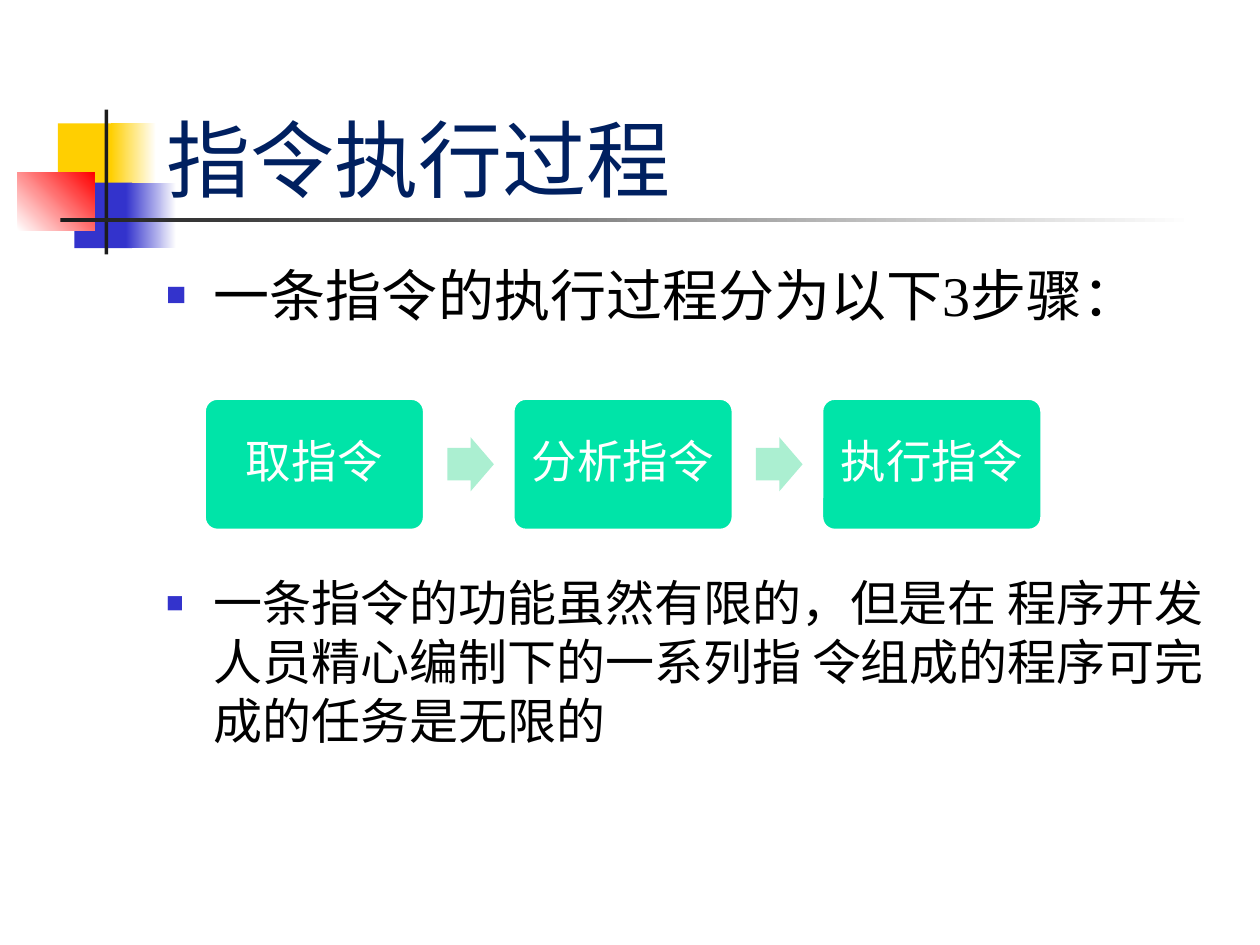
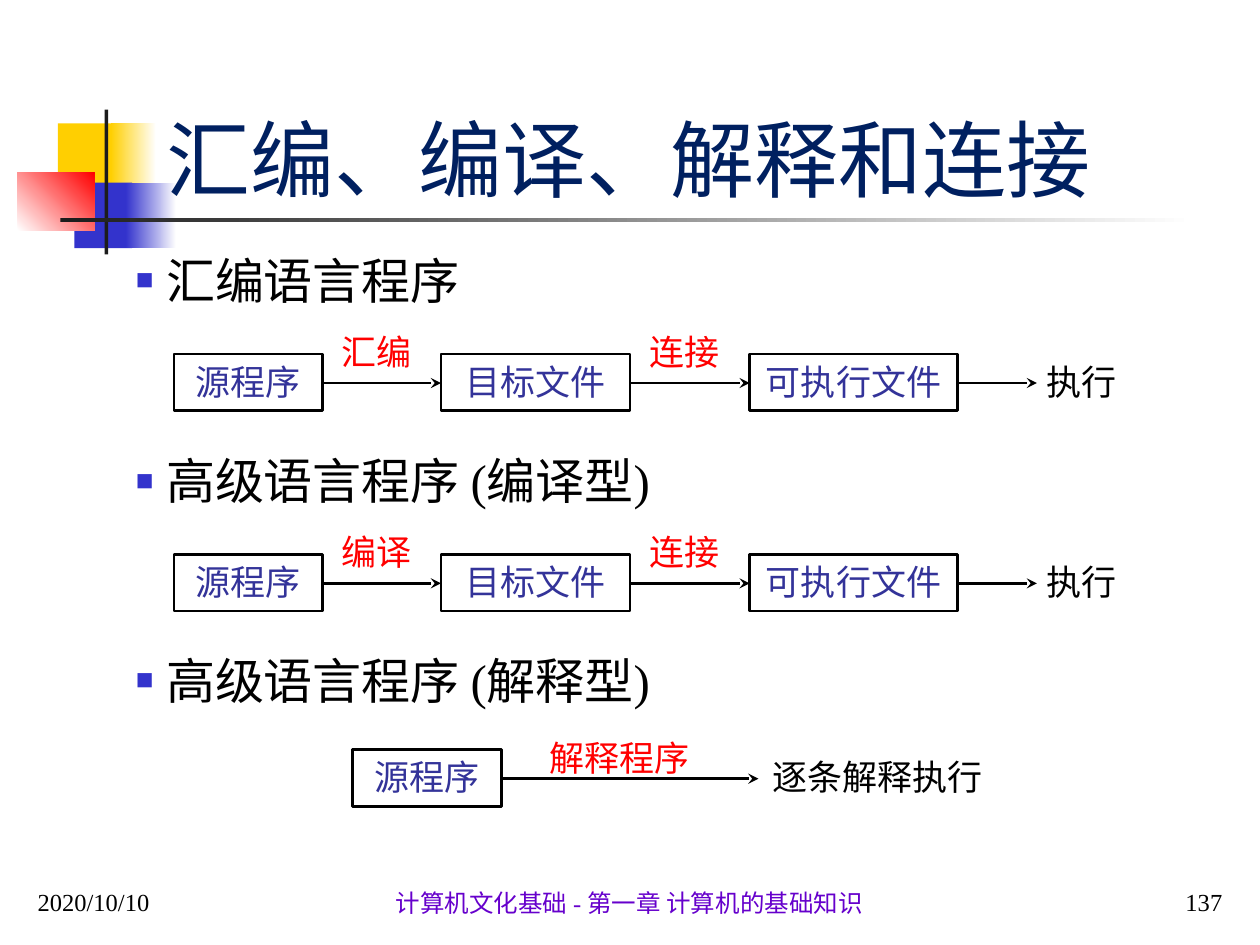
from dataclasses import dataclass

from lxml import etree
from pptx import Presentation
from pptx.dml.color import RGBColor
from pptx.enum.shapes import MSO_CONNECTOR, MSO_SHAPE
from pptx.enum.text import MSO_ANCHOR as Anchor, MSO_AUTO_SIZE, PP_ALIGN as Align
from pptx.oxml.ns import qn
from pptx.shapes.autoshape import Shape
from pptx.slide import Slide
from pptx.text.text import _Paragraph as Paragraph
from pptx.util import Inches, Pt

COLORS = {
    "white": "FFFFFF", "black": "000000", "ink": "1C1C1C",
    "yellow": "FFCF01", "blue": "3333CC", "red": "FF0000",
    "title": "002060", "node": "333399", "footer": "6600CC",
    "step": "00E4A8", "step_arrow": "ABEFD1",
}
TITLE_FONT = "Noto Sans CJK JP"
BODY_FONT = "Times New Roman"
DIAGRAM_FONT = "Cabin"


@dataclass(frozen=True)
class Box:
    left: float
    top: float
    width: float
    height: float

    def lengths(self) -> tuple:
        return tuple(Inches(v) for v in (self.left, self.top, self.width, self.height))


@dataclass(frozen=True)
class Style:
    size: float
    color: str = "black"
    font: str = BODY_FONT
    align: Align = Align.LEFT


@dataclass(frozen=True)
class Ornament:
    box: Box
    start: str
    end: str = ""
    angle: float = 0


@dataclass(frozen=True)
class FooterPart:
    text: str
    box: Box
    style: Style


@dataclass(frozen=True)
class Span:
    text: str
    left: float
    width: float


@dataclass(frozen=True)
class Flow:
    heading: str
    kind: str
    heading_box: Box
    top: float
    label_top: float
    nodes: tuple[Span, ...]
    labels: tuple[Span, ...]
    result: Span
    arrow_end: float


ORNAMENTS = (
    Ornament(Box(0.46, 0.98, 0.48, 0.52), "yellow"),
    Ornament(Box(0.88, 0.98, 0.36, 0.52), "yellow", "white"),
    Ornament(Box(0.59, 1.45, 0.46, 0.52), "blue"),
    Ornament(Box(1, 1.45, 0.4, 0.52), "blue", "white"),
    Ornament(Box(0.14, 1.37, 0.61, 0.46), "white", "red", 45),
    Ornament(Box(0.83, 0.87, 0.03, 1.15), "ink"),
    Ornament(Box(0.48, 1.73, 9, 0.03), "ink", "white"),
)
TITLE_BOX = Box(1.22, 0.68, 8.56, 1.02)
TITLE_STYLE = Style(48, "title", TITLE_FONT)

FOOTER = (
    FooterPart("2020/10/10", Box(0.2, 6.82, 1.26, 0.5), Style(14)),
    FooterPart("计算机文化基础 - 第一章 计算机的基础知识", Box(1.61, 6.83, 6.77, 0.5),
               Style(14, "footer", align=Align.CENTER)),
    FooterPart("137", Box(8.54, 6.82, 1.26, 0.5), Style(14, align=Align.RIGHT)),
)

STEPS = ("取指令", "分析指令", "执行指令")
STEP_BOX = Box(1.62, 3.16, 1.75, 1.05)
STEP_PITCH = 2.45
STEP_STYLE = Style(26, "white", align=Align.CENTER)

NODE_STYLE = Style(20, "node", DIAGRAM_FONT, Align.CENTER)
LABEL_STYLE = Style(20, "red", DIAGRAM_FONT, Align.CENTER)
RESULT_STYLE = Style(20, "black", DIAGRAM_FONT, Align.CENTER)
HEADING_STYLE = Style(28, "black", DIAGRAM_FONT)
NODE_HEIGHT, LABEL_HEIGHT, HEADING_HEIGHT = 0.45, 0.43, 0.57
BUILD_NODES = (Span("源程序", 1.38, 1.18), Span("目标文件", 3.5, 1.5),
               Span("可执行文件", 5.95, 1.65))


def build_flow(heading: str, kind: str, heading_width: float, top: float,
               first_label: str) -> Flow:
    """Describe a translate, link and run chain."""
    return Flow(heading, kind, Box(0.98, top - 0.87, heading_width, HEADING_HEIGHT),
                top, top - 0.24, BUILD_NODES,
                (Span(first_label, 2.4, 1.18), Span("连接", 4.84, 1.18)),
                Span("执行", 7.99, 1.18), 8.23)


FLOWS = (
    build_flow("汇编语言程序", "", 2.99, 2.81, "汇编"),
    build_flow("高级语言程序 ", "(编译型)", 5.91, 4.4, "编译"),
    Flow("高级语言程序 ", "(解释型)", Box(0.98, 5.11, 4.41, HEADING_HEIGHT), 5.95, 5.8,
         (Span("源程序", 2.8, 1.18),), (Span("解释程序", 4.21, 1.42),),
         Span("逐条解释执行", 6.02, 1.89), 6.02),
)


def color(name: str) -> RGBColor:
    return RGBColor.from_string(COLORS[name])


def format_runs(paragraph: Paragraph, style: Style) -> None:
    paragraph.alignment = style.align
    for run in paragraph.runs:
        run.font.size = Pt(style.size)
        run.font.name = style.font
        run.font.color.rgb = color(style.color)


def write(shape: Shape, text: str, style: Style, anchor: Anchor = Anchor.TOP) -> Paragraph:
    frame = shape.text_frame
    frame.word_wrap = True
    frame.auto_size = MSO_AUTO_SIZE.NONE
    frame.vertical_anchor = anchor
    frame.text = text
    format_runs(frame.paragraphs[0], style)
    return frame.paragraphs[0]


def add_text(slide: Slide, box: Box, text: str, style: Style,
             anchor: Anchor = Anchor.TOP) -> Shape:
    shape = slide.shapes.add_textbox(*box.lengths())
    write(shape, text, style, anchor)
    return shape


def add_plain_shape(slide: Slide, kind: MSO_SHAPE, box: Box, fill: str = "",
                    line: str = "", line_width: float = 1) -> Shape:
    shape = slide.shapes.add_shape(kind, *box.lengths())
    shape.shadow.inherit = False
    if fill:
        shape.fill.solid()
        shape.fill.fore_color.rgb = color(fill)
    else:
        shape.fill.background()
    if line:
        shape.line.color.rgb = color(line)
        shape.line.width = Pt(line_width)
    else:
        shape.line.fill.background()
    return shape


def add_bullet(paragraph: Paragraph, indent: float) -> None:
    properties = paragraph._p.get_or_add_pPr()
    properties.set("marL", str(Inches(indent)))
    properties.set("indent", str(-Inches(indent)))
    bullet_color = etree.SubElement(properties, qn("a:buClr"))
    etree.SubElement(bullet_color, qn("a:srgbClr"), val=COLORS["blue"])
    etree.SubElement(properties, qn("a:buSzPct"), val="60000")
    etree.SubElement(properties, qn("a:buFont"), typeface=BODY_FONT)
    etree.SubElement(properties, qn("a:buChar"), char="■")


def add_arrow(slide: Slide, start: float, end: float, y: float) -> None:
    connector = slide.shapes.add_connector(
        MSO_CONNECTOR.STRAIGHT, Inches(start), Inches(y), Inches(end), Inches(y))
    connector.line.color.rgb = color("black")
    connector.line.width = Pt(1.5)
    etree.SubElement(connector.line._get_or_add_ln(), qn("a:tailEnd"), type="stealth")
    etree.SubElement(connector._element.spPr, qn("a:effectLst"))


def add_ornament(slide: Slide, ornament: Ornament) -> None:
    shape = add_plain_shape(slide, MSO_SHAPE.RECTANGLE, ornament.box, ornament.start)
    if ornament.end:
        shape.fill.gradient()
        shape.fill.gradient_angle = ornament.angle
        for stop, name in zip(shape.fill.gradient_stops, (ornament.start, ornament.end)):
            stop.color.rgb = color(name)


def add_titled_slide(presentation: Presentation, text: str) -> Slide:
    """Add a slide with the shared ornaments behind its title."""
    slide = presentation.slides.add_slide(presentation.slide_layouts[5])
    for ornament in ORNAMENTS:
        add_ornament(slide, ornament)
    title = slide.shapes.title
    title.left, title.top, title.width, title.height = TITLE_BOX.lengths()
    write(title, text, TITLE_STYLE, Anchor.BOTTOM)
    title.element.getparent().append(title.element)
    return slide


def add_steps(slide: Slide) -> None:
    for index, text in enumerate(STEPS):
        left = STEP_BOX.left + index * STEP_PITCH
        box = Box(left, STEP_BOX.top, STEP_BOX.width, STEP_BOX.height)
        step = add_plain_shape(slide, MSO_SHAPE.ROUNDED_RECTANGLE, box, "step", "white", 2)
        step.adjustments[0] = 0.1
        frame = step.text_frame
        frame.margin_left = frame.margin_right = Inches(0.11)
        frame.margin_top = frame.margin_bottom = Inches(0.11)
        write(step, text, STEP_STYLE, Anchor.MIDDLE).line_spacing = 0.9
        if index < len(STEPS) - 1:
            arrow = add_plain_shape(slide, MSO_SHAPE.RIGHT_ARROW,
                                    Box(left + 1.93, 3.47, 0.37, 0.43), "step_arrow")
            arrow.adjustments[0] = 0.6
            arrow.adjustments[1] = 0.5


def add_execution_slide(presentation: Presentation) -> None:
    slide = add_titled_slide(presentation, "指令执行过程")
    body = add_text(slide, Box(1.22, 2.02, 8.57, 4.8),
                    "一条指令的执行过程分为以下3步骤：", Style(32))
    conclusion = body.text_frame.add_paragraph()
    conclusion.text = ("一条指令的功能虽然有限的，但是在 程序开发人员精心编制下的一系列指 "
                       "令组成的程序可完成的任务是无限的")
    conclusion.space_before = Pt(140)
    format_runs(conclusion, Style(28))
    for paragraph in body.text_frame.paragraphs:
        add_bullet(paragraph, 0.38)
    add_steps(slide)


def add_flow(slide: Slide, flow: Flow) -> None:
    heading = add_text(slide, flow.heading_box, flow.heading, HEADING_STYLE)
    paragraph = heading.text_frame.paragraphs[0]
    if flow.kind:
        run = paragraph.add_run()
        run.text = flow.kind
        format_runs(paragraph, HEADING_STYLE)
        run.font.name = BODY_FONT
    add_bullet(paragraph, 0.24)

    arrow_ends = [node.left for node in flow.nodes[1:]] + [flow.arrow_end]
    for node, arrow_end in zip(flow.nodes, arrow_ends):
        box = Box(node.left, flow.top, node.width, NODE_HEIGHT)
        shape = add_plain_shape(slide, MSO_SHAPE.RECTANGLE, box, line="black", line_width=1.5)
        write(shape, node.text, NODE_STYLE)
        add_arrow(slide, node.left + node.width, arrow_end, flow.top + 0.23)
    for label in flow.labels:
        add_text(slide, Box(label.left, flow.label_top, label.width, LABEL_HEIGHT),
                 label.text, LABEL_STYLE)
    add_text(slide, Box(flow.result.left, flow.top, flow.result.width, LABEL_HEIGHT),
             flow.result.text, RESULT_STYLE)


def add_translation_slide(presentation: Presentation) -> None:
    slide = add_titled_slide(presentation, "汇编、编译、解释和连接")
    for part in FOOTER:
        add_text(slide, part.box, part.text, part.style, Anchor.BOTTOM)
    for flow in FLOWS:
        add_flow(slide, flow)


def main() -> None:
    presentation = Presentation()
    presentation.slide_width = Inches(10)
    presentation.slide_height = Inches(7.5)
    add_execution_slide(presentation)
    add_translation_slide(presentation)
    presentation.save("out.pptx")


if __name__ == "__main__":
    main()
